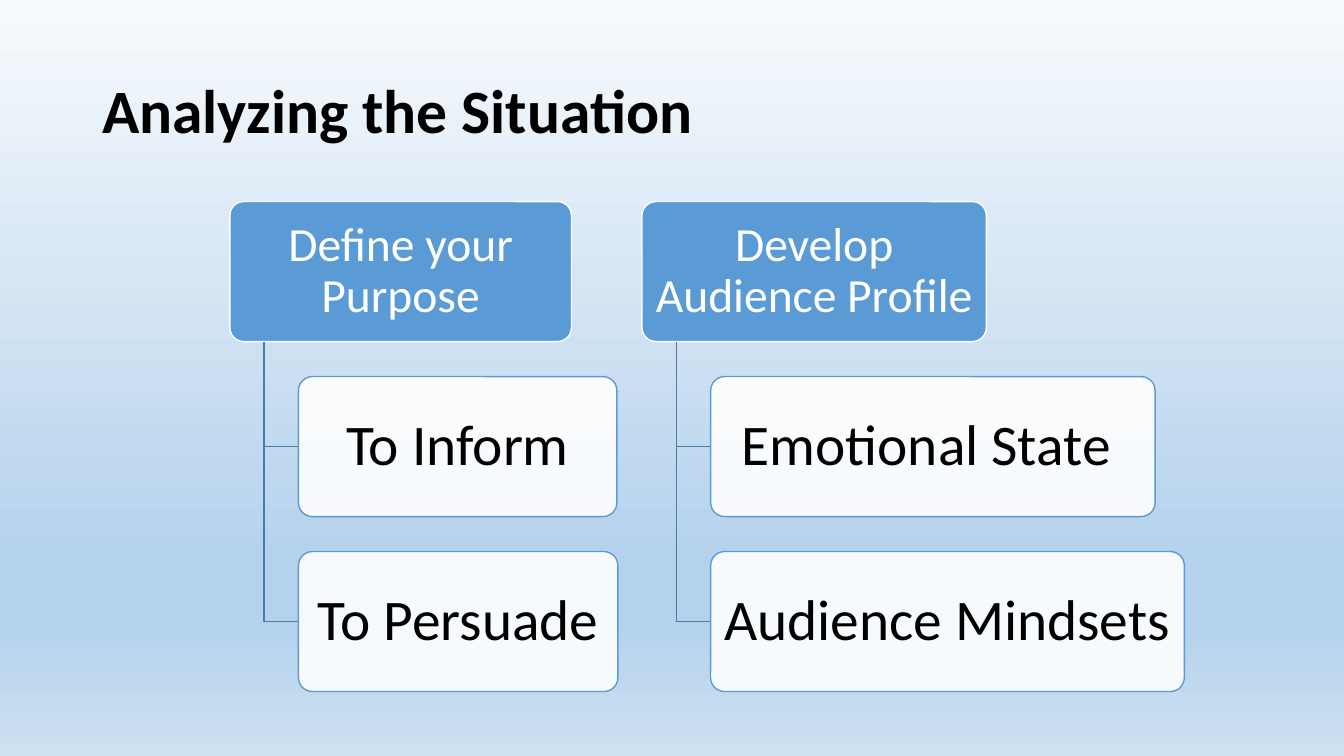
import pptx
import pptx.dml.color
import pptx.enum.shapes
import pptx.enum.text
import pptx.oxml.ns
import pptx.util
from lxml import etree

Pt = pptx.util.Pt
qn = pptx.oxml.ns.qn
FONT = "Calibri"
COLOURS = {
    "black": "000000",
    "white": "FFFFFF",
    "blue": "5B9BD5",
    "branch": "497CAB",
    "sky_top": "F7FAFD",
    "sky_deep": "B5D2EC",
    "sky_bottom": "CEE1F2",
}
SKY_STOPS = [(0, "sky_top"), (74, "sky_deep"), (83, "sky_deep"), (100, "sky_bottom")]
BOX_HEIGHT = 100
ROW_PITCH = 125
INDENT = 49
TOPICS = [
    (164.2, "Define your Purpose", 244,
     [("To Inform", 227.5), ("To Persuade", 228.2)]),
    (458.6, "Develop Audience Profile", 246,
     [("Emotional State ", 317.5), ("Audience Mindsets", 338.4)]),
]


def colour(name):
    """Return the named colour as an RGB value."""
    return pptx.dml.color.RGBColor.from_string(COLOURS[name])


def paint_background(page):
    """Fill the page with the vertical sky gradient."""
    fill = page.background.fill
    fill.gradient()
    fill.gradient_angle = 270
    stops = next(page._element.iter(qn("a:gsLst")))
    for stop in list(stops):
        stops.remove(stop)
    for percent, name in SKY_STOPS:
        stop = etree.SubElement(stops, qn("a:gs"), pos=str(percent * 1000))
        etree.SubElement(stop, qn("a:srgbClr"), val=COLOURS[name])


def write_text(shape, text, size, ink, align, bold=False, inset=6):
    """Write one vertically centred paragraph into a shape."""
    frame = shape.text_frame
    frame.word_wrap = True
    frame.vertical_anchor = pptx.enum.text.MSO_ANCHOR.MIDDLE
    frame.margin_left = frame.margin_right = Pt(inset)
    frame.margin_top = frame.margin_bottom = Pt(inset)
    para = frame.paragraphs[0]
    para.alignment = align
    para.line_spacing = 0.9
    span = para.add_run()
    span.text = text
    span.font.name = FONT
    span.font.size = Pt(size)
    span.font.bold = bold
    span.font.color.rgb = colour(ink)


def add_title(page, left, top, width, height):
    """Place the slide title in the given box."""
    box = page.shapes.add_textbox(Pt(left), Pt(top), Pt(width), Pt(height))
    write_text(box, "Analyzing the Situation", 44, "black",
               pptx.enum.text.PP_ALIGN.LEFT, bold=True, inset=7.2)


def add_card(page, left, top, width, text, size, fill, line, ink, opacity=100):
    """Place one rounded card with centred text."""
    card = page.shapes.add_shape(
        pptx.enum.shapes.MSO_SHAPE.ROUNDED_RECTANGLE,
        Pt(left), Pt(top), Pt(width), Pt(BOX_HEIGHT))
    card.adjustments[0] = 0.1
    card.shadow.inherit = False
    card.fill.solid()
    card.fill.fore_color.rgb = colour(fill)
    if opacity < 100:
        tint = card._element.spPr.find(qn("a:solidFill"))[0]
        etree.SubElement(tint, qn("a:alpha"), val=str(opacity * 1000))
    card.line.color.rgb = colour(line)
    card.line.width = Pt(1)
    write_text(card, text, size, ink, pptx.enum.text.PP_ALIGN.CENTER)


def add_branch(page, left, top, right, bottom):
    """Draw an elbow down from the heading and across to a card."""
    builder = page.shapes.build_freeform(Pt(left), Pt(top))
    builder.add_line_segments(
        [(Pt(left), Pt(bottom)), (Pt(right), Pt(bottom))], close=False)
    branch = builder.convert_to_shape()
    branch.shadow.inherit = False
    branch.fill.background()
    branch.line.color.rgb = colour("branch")
    branch.line.width = Pt(1)


def add_topic(page, left, top, heading, width, children):
    """Place a heading card with its indented child cards."""
    add_card(page, left, top, width, heading, 34, "blue", "white", "white")
    for row, (text, child_width) in enumerate(children, start=1):
        child_top = top + row * ROW_PITCH
        add_branch(page, left + INDENT / 2, top + BOX_HEIGHT,
                   left + INDENT, child_top + BOX_HEIGHT / 2)
        add_card(page, left + INDENT, child_top, child_width, text, 41,
                 "white", "blue", "black", opacity=90)


def main():
    """Build the deck and save it."""
    deck = pptx.Presentation()
    deck.slide_width, deck.slide_height = Pt(960), Pt(540)
    page = deck.slides.add_slide(deck.slide_layouts[6])
    paint_background(page)
    add_title(page, 66, 28.8, 828, 104.4)
    for left, heading, width, children in TOPICS:
        add_topic(page, left, 144, heading, width, children)
    deck.save("out.pptx")


if __name__ == "__main__":
    main()
